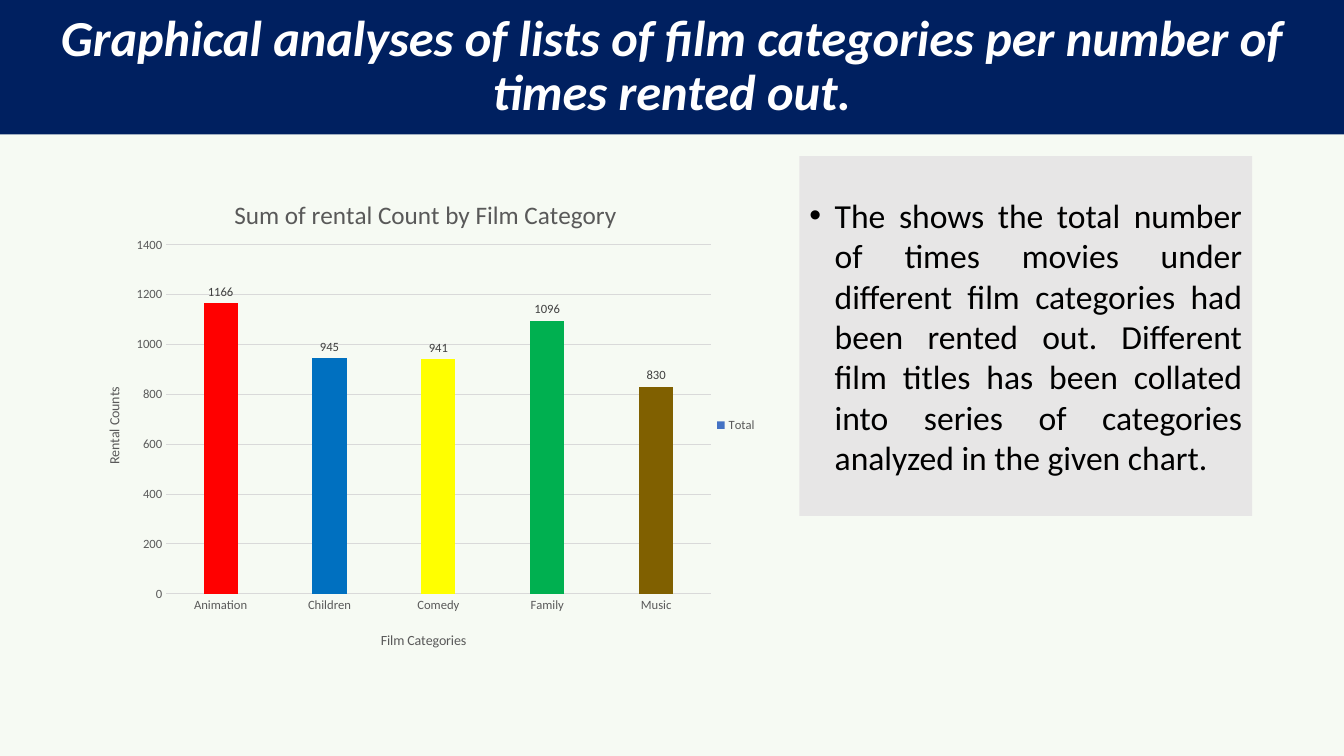
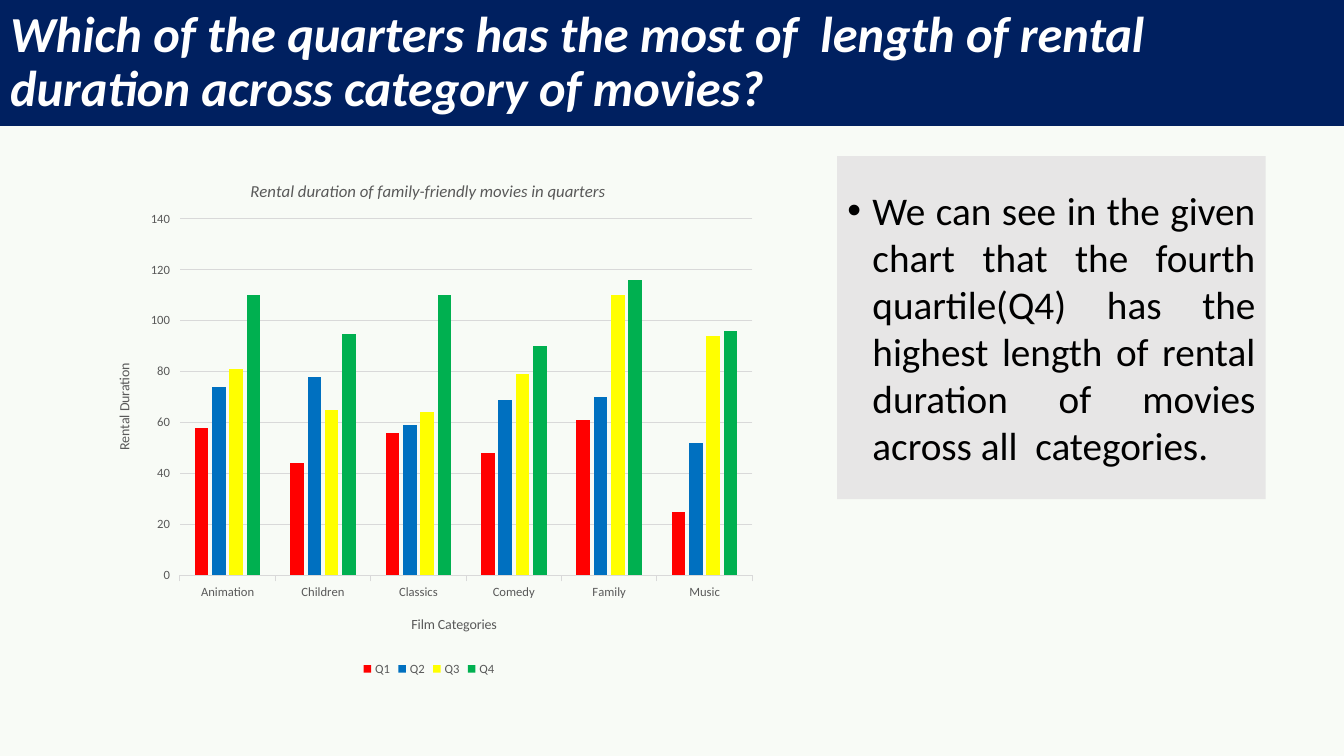
from lxml import etree
from pptx import Presentation
from pptx.chart.data import CategoryChartData
from pptx.dml.color import RGBColor
from pptx.enum.chart import XL_CHART_TYPE, XL_LABEL_POSITION, XL_LEGEND_POSITION, XL_TICK_MARK
from pptx.enum.text import MSO_ANCHOR, MSO_AUTO_SIZE, PP_ALIGN
from pptx.oxml.ns import qn
from pptx.util import Pt

COLUMNS = XL_CHART_TYPE.COLUMN_CLUSTERED
OUTSIDE_END = XL_LABEL_POSITION.OUTSIDE_END
RIGHT, BOTTOM = XL_LEGEND_POSITION.RIGHT, XL_LEGEND_POSITION.BOTTOM
TICK_NONE, TICK_OUT = XL_TICK_MARK.NONE, XL_TICK_MARK.OUTSIDE
MIDDLE, NO_FIT = MSO_ANCHOR.MIDDLE, MSO_AUTO_SIZE.NONE
LEFT, CENTER, JUSTIFY = PP_ALIGN.LEFT, PP_ALIGN.CENTER, PP_ALIGN.JUSTIFY

FONT = "Calibri"
PAGE_WIDTH, PAGE_HEIGHT = 960, 540
COLORS = {
    "navy": "002060",
    "white": "FFFFFF",
    "black": "000000",
    "panel": "E7E6E6",
    "mint": "F6FAF3",
    "pale mint": "F8FBF6",
    "label": "404040",
    "axis": "595959",
    "grid": "D9D9D9",
    "total": "4472C4",
    "red": "FF0000",
    "blue": "0070C0",
    "yellow": "FFFF00",
    "green": "00B050",
    "brown": "806000",
}


def set_fill(fill, color):
    """Fill solidly with a named colour."""
    fill.solid()
    fill.fore_color.rgb = RGBColor.from_string(COLORS[color])


def set_font(font, size, color, bold=False, italic=False):
    """Apply the deck typeface with a size, colour and weight."""
    font.name, font.size = FONT, Pt(size)
    font.bold, font.italic = bold, italic
    font.color.rgb = RGBColor.from_string(COLORS[color])


def fill_placeholder(box, bounds, color, text, alignment):
    """Place a placeholder, fill it and return its only paragraph."""
    box.left, box.top, box.width, box.height = map(Pt, bounds)
    set_fill(box.fill, color)
    frame = box.text_frame
    frame.auto_size, frame.vertical_anchor = NO_FIT, MIDDLE
    frame.text = text
    para = frame.paragraphs[0]
    para.alignment = alignment
    return para


def add_page(deck, background, title, band_height, alignment):
    """Add a tinted page with its title band."""
    page = deck.slides.add_slide(deck.slide_layouts[1])
    set_fill(page.background.fill, background)
    band = (0, 0, PAGE_WIDTH, band_height)
    para = fill_placeholder(page.shapes.title, band, "navy", title, alignment)
    para.line_spacing = 0.9
    set_font(para.font, 36, "white", bold=True, italic=True)
    return page


def add_comment_panel(page, bounds, text, size):
    """Put a justified bullet in the grey body panel."""
    para = fill_placeholder(page.placeholders[1], bounds, "panel", text, JUSTIFY)
    para.space_before = Pt(10)
    set_font(para.font, size, "black")
    properties = para._p.get_or_add_pPr()
    properties.set("marL", str(Pt(18)))
    properties.set("indent", str(-Pt(18)))


def set_layout(element, values, inner=False):
    """Fix a chart part by fractions of the chart area."""
    layout = element.find(qn("c:layout"))
    if layout is None:
        layout = etree.Element(qn("c:layout"))
        element.insert(0, layout)
    manual = etree.SubElement(layout, qn("c:manualLayout"))
    settings = [("layoutTarget", "inner")] if inner else []
    settings += [("xMode", "edge"), ("yMode", "edge")]
    settings += zip("xywh", values)
    for name, value in settings:
        etree.SubElement(manual, qn(f"c:{name}")).set("val", str(value))


def make_no_fill():
    """Return chart shape properties without fill or line."""
    properties = etree.Element(qn("c:spPr"))
    etree.SubElement(properties, qn("a:noFill"))
    line = etree.SubElement(properties, qn("a:ln"))
    etree.SubElement(line, qn("a:noFill"))
    return properties


def set_chart_title(title, text, size, position, italic=False):
    """Write and place a chart or axis title."""
    frame = title.text_frame
    frame.text = text
    set_font(frame.paragraphs[0].font, size, "axis", italic=italic)
    set_layout(title._element, position)
    return frame


def style_axis(axis, tick_mark):
    """Apply the shared axis label and tick style."""
    set_font(axis.tick_labels.font, 9, "axis")
    axis.major_tick_mark, axis.minor_tick_mark = tick_mark, TICK_NONE


def style_line(line):
    """Draw a thin grey chart line."""
    set_fill(line.fill, "grid")
    line.width = Pt(0.75)


def style_axes(chart, tick_mark, maximum, step):
    """Format both axes and the gridlines."""
    for axis in (chart.category_axis, chart.value_axis):
        style_axis(axis, tick_mark)
    style_line(chart.category_axis.format.line)
    values = chart.value_axis
    values.minimum_scale, values.maximum_scale, values.major_unit = 0, maximum, step
    values.format.line.fill.background()
    style_line(values.major_gridlines.format.line)


def add_column_chart(page, bounds, categories, series, plot_layout, legend_position):
    """Add a clustered column chart from (name, values, colour) series."""
    data = CategoryChartData()
    data.categories = categories
    for name, values, _ in series:
        data.add_series(name, values)
    chart = page.shapes.add_chart(COLUMNS, *map(Pt, bounds), data).chart
    set_font(chart.font, 10, "black")
    plot = chart.plots[0]
    plot.vary_by_categories = False
    plot.gap_width, plot.overlap = 219, -27
    for columns, (_, _, color) in zip(plot.series, series):
        set_fill(columns.format.fill, color)
        columns.invert_if_negative = False
    chart.has_legend = True
    chart.legend.position = legend_position
    chart.legend.include_in_layout = False
    set_font(chart.legend.font, 9, "axis")
    space = chart._chartSpace
    area = space.find(".//" + qn("c:plotArea"))
    set_layout(area, plot_layout, inner=True)
    area.append(make_no_fill())
    space.find(qn("c:chart")).addnext(make_no_fill())
    return chart


def add_axis_titles(chart, category_text, category_position, value_text, value_position):
    """Title both axes, the value axis reading upwards."""
    set_chart_title(chart.category_axis.axis_title, category_text, 10, category_position)
    frame = set_chart_title(chart.value_axis.axis_title, value_text, 10, value_position)
    body = frame._txBody.find(qn("a:bodyPr"))
    body.set("rot", "-5400000")
    body.set("vert", "horz")


def add_point_colors(columns, colors):
    """Colour each column and label its value."""
    for index, color in enumerate(colors):
        set_fill(columns.points[index].format.fill, color)
    labels = columns.data_labels
    labels.show_value, labels.position = True, OUTSIDE_END
    set_font(labels.font, 9, "label")


def add_rental_counts(deck):
    """Build the page on rental counts by film category."""
    page = add_page(
        deck, "mint",
        "Graphical analyses of lists of film categories per number of times rented out.",
        96, CENTER)
    add_comment_panel(
        page, (571, 111.5, 323.5, 257),
        "The shows the total number of times movies under different film categories "
        "had been rented out. Different film titles has been collated into series of "
        "categories analyzed in the given chart.", 24)
    chart = add_column_chart(
        page, (43, 96, 505, 415.5),
        ("Animation", "Children", "Comedy", "Family", "Music"),
        [("Total", (1166, 945, 941, 1096, 830), "total")],
        (0.15, 0.19, 0.77, 0.6), RIGHT)
    style_axes(chart, TICK_NONE, 1400, 200)
    set_chart_title(chart.chart_title, "Sum of rental Count by Film Category", 18, (0.24, 0.1))
    add_axis_titles(chart, "Film Categories", (0.45, 0.85), "Rental Counts", (0.06, 0.43))
    add_point_colors(chart.plots[0].series[0], ("red", "blue", "yellow", "green", "brown"))


def add_rental_durations(deck):
    """Build the page on rental duration by quarter."""
    page = add_page(
        deck, "pale mint",
        "Which of the quarters has the most of  length of rental duration "
        "across category of movies?", 90, LEFT)
    add_comment_panel(
        page, (598, 111.5, 306, 245),
        "We can see in the given chart that the fourth quartile(Q4) has the highest "
        "length of rental duration of movies across all  categories.", 28)
    chart = add_column_chart(
        page, (66, 111.5, 481, 374.5),
        ("Animation", "Children", "Classics", "Comedy", "Family", "Music"),
        [("Q1", (58, 44, 56, 48, 61, 25), "red"),
         ("Q2", (74, 78, 59, 69, 70, 52), "blue"),
         ("Q3", (81, 65, 64, 79, 110, 94), "yellow"),
         ("Q4", (110, 95, 110, 90, 116, 96), "green")],
        (0.13, 0.12, 0.85, 0.68), BOTTOM)
    style_axes(chart, TICK_OUT, 140, 20)
    set_chart_title(
        chart.chart_title, "Rental duration of family-friendly movies in quarters",
        12, (0.23, 0.04), italic=True)
    add_axis_titles(chart, "Film Categories", (0.47, 0.87), "Rental Duration", (0.03, 0.39))


def main():
    """Build and save the deck."""
    deck = Presentation()
    deck.slide_width, deck.slide_height = Pt(PAGE_WIDTH), Pt(PAGE_HEIGHT)
    add_rental_counts(deck)
    add_rental_durations(deck)
    deck.save("out.pptx")


if __name__ == "__main__":
    main()
